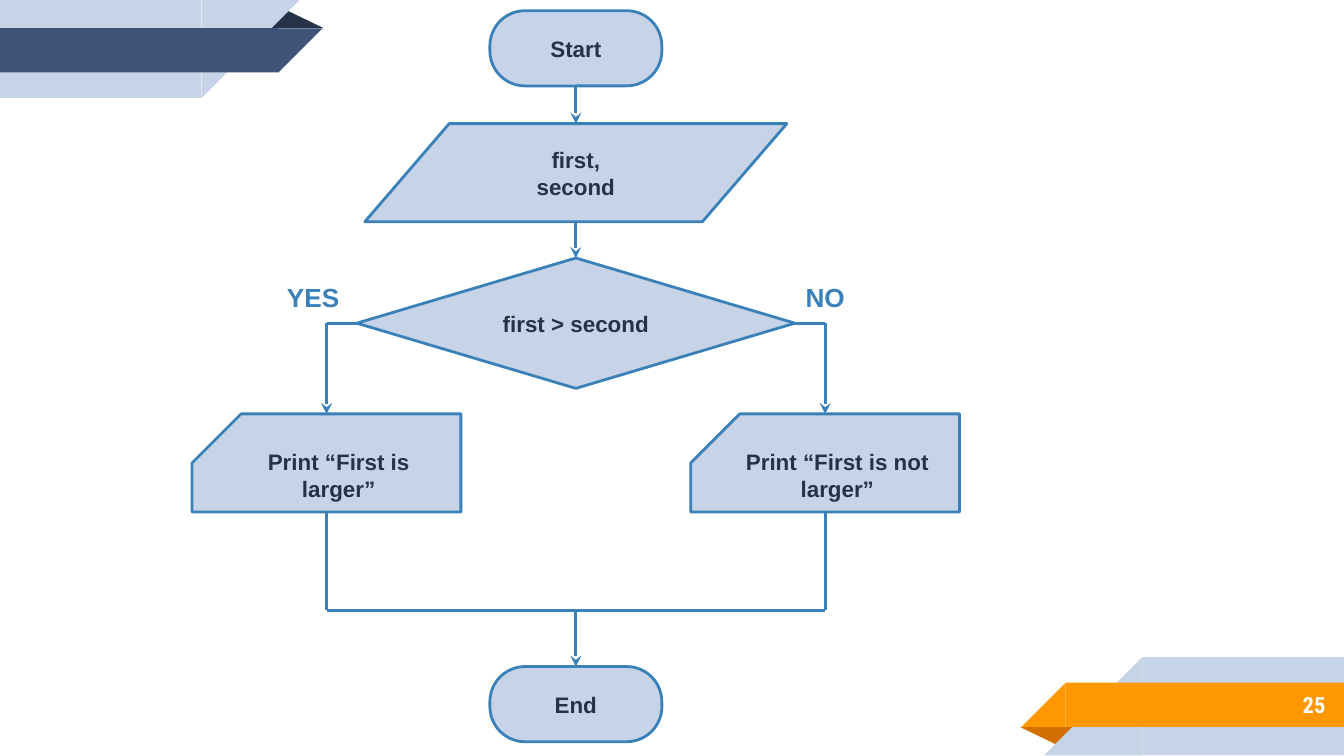
from dataclasses import dataclass
from pptx import Presentation
from pptx.dml.color import RGBColor
from pptx.enum import shapes, text
from pptx.oxml import parse_xml
from pptx.oxml.ns import nsdecls
from pptx.util import Inches, Pt


@dataclass(frozen=True)
class Theme:
    pale: str = "C7D3E6"
    navy: str = "3F5378"
    ink: str = "263248"
    blue: str = "3A81BA"
    orange: str = "FF9800"
    rust: str = "D26F00"
    white: str = "FFFFFF"
    font: str = "Arial"
    number_font: str = "Roboto Condensed"
    body: float = 12
    label: float = 14
    stroke: float = 1.5
    inset: float = 0.1


@dataclass(frozen=True)
class Box:
    left: float
    top: float
    width: float
    height: float

    @property
    def center(self):
        return self.left + self.width / 2

    @property
    def middle(self):
        return self.top + self.height / 2

    @property
    def right(self):
        return self.left + self.width

    @property
    def bottom(self):
        return self.top + self.height

    def lengths(self):
        return [Inches(n) for n in (self.left, self.top, self.width, self.height)]


THEME = Theme()
KIND = shapes.MSO_SHAPE
ALIGN = text.PP_ALIGN
ANCHOR = text.MSO_ANCHOR


def write(shape, words, size=THEME.body, color=THEME.ink, font=THEME.font,
          align=ALIGN.CENTER, anchor=ANCHOR.MIDDLE):
    frame = shape.text_frame
    frame.word_wrap = True
    frame.vertical_anchor = anchor
    frame.margin_left = frame.margin_right = Inches(THEME.inset)
    frame.margin_top = frame.margin_bottom = Inches(THEME.inset)
    frame.text = words
    for para in frame.paragraphs:
        para.alignment = align
        for span in para.runs:
            span.font.name = font
            span.font.size = Pt(size)
            span.font.bold = True
            span.font.color.rgb = RGBColor.from_string(color)


def add_label(page, box, words, **style):
    write(page.shapes.add_textbox(*box.lengths()), words, **style)


def add_filled(page, kind, box, color, corner=None, mirrored=False):
    shape = page.shapes.add_shape(kind, *box.lengths())
    shape.shadow.inherit = False
    shape.fill.solid()
    shape.fill.fore_color.rgb = RGBColor.from_string(color)
    shape.line.fill.background()
    if corner is not None:
        shape.adjustments[0] = corner
    if mirrored:
        shape._element.spPr.xfrm.set("flipH", "1")
    return shape


def add_step(page, kind, box, words, **form):
    step = add_filled(page, kind, box, THEME.pale, **form)
    step.line.color.rgb = RGBColor.from_string(THEME.blue)
    step.line.width = Pt(THEME.stroke)
    write(step, words)


def add_path(page, *points, arrow=True):
    legs = list(zip(points, points[1:]))
    for index, (start, end) in enumerate(legs):
        ends = [Inches(n) for n in (*start, *end)]
        leg = page.shapes.add_connector(shapes.MSO_CONNECTOR.STRAIGHT, *ends)
        leg.line.color.rgb = RGBColor.from_string(THEME.blue)
        leg.line.width = Pt(THEME.stroke)
        if arrow and index == len(legs) - 1:
            leg.line._get_or_add_ln().append(
                parse_xml(f'<a:tailEnd {nsdecls("a")} type="stealth"/>'))
        leg._element.spPr.append(parse_xml(f'<a:effectLst {nsdecls("a")}/>'))


def add_ribbon(page, box, band_color, fold_color, turned=False):
    def place(left, top, width, height):
        if turned:
            return Box(box.right - left - width, box.bottom - top - height, width, height)
        return Box(box.left + left, box.top + top, width, height)

    fold = add_filled(page, KIND.ISOSCELES_TRIANGLE, place(1.98, 0.07, 0.43, 0.14),
                      fold_color, corner=0.324)
    fold.rotation = 180 if turned else 0
    for color, top, length, height in ((THEME.pale, 0, 1.5, 0.73),
                                       (band_color, 0.21, 2.07, 0.33)):
        add_filled(page, KIND.RECTANGLE, place(0, top, length, height), color)
        tip = add_filled(page, KIND.RIGHT_TRIANGLE, place(length, top, height, height),
                         color, mirrored=True)
        tip.rotation = 0 if turned else 180


def add_flowchart(page, box):
    def centered(x, top, width, height):
        return Box(x - width / 2, box.top + top, width, height)

    axis = box.center
    start = centered(axis, 0, 1.28, 0.56)
    entry = centered(axis, 0.84, 3.14, 0.73)
    choice = centered(axis, 1.84, 3.26, 0.97)
    end = centered(axis, box.height - 0.56, 1.28, 0.56)
    merge = box.top + 4.46

    for terminal, words in ((start, "Start"), (end, "End")):
        add_step(page, KIND.ROUNDED_RECTANGLE, terminal, words, corner=0.467)
    add_step(page, KIND.FLOWCHART_DATA, entry, "first,\nsecond")
    add_step(page, KIND.FLOWCHART_DECISION, choice, "first > second")
    for upper, lower in ((start, entry), (entry, choice)):
        add_path(page, (axis, upper.bottom), (axis, lower.top))

    branches = [
        (box.left + 1, choice.left, -0.1, "YES", "Print “First is larger”"),
        (box.right - 1, choice.right, 0, "NO", "Print “First is not larger”"),
    ]
    for x, tip, shift, answer, words in branches:
        result = centered(x, 3, 2, 0.73)
        add_step(page, KIND.SNIP_1_RECTANGLE, result, words, corner=0.5, mirrored=True)
        add_path(page, (tip, choice.middle), (x, choice.middle), (x, result.top))
        add_path(page, (x, result.bottom), (x, merge), arrow=False)
        add_label(page, centered(x + shift, 1.91, 0.77, 0.41), answer,
                  size=THEME.label, color=THEME.blue, anchor=ANCHOR.TOP)
    add_path(page, (box.left + 1, merge), (box.right - 1, merge), arrow=False)
    add_path(page, (axis, merge), (axis, end.top))


def build():
    deck = Presentation()
    deck.slide_width = Inches(10)
    deck.slide_height = deck.slide_width * 9 // 16
    page = deck.slides.add_slide(deck.slide_layouts[6])
    add_ribbon(page, Box(7.6, 4.89, 2.4, 0.73), THEME.orange, THEME.rust, turned=True)
    add_ribbon(page, Box(0, 0, 2.4, 0.73), THEME.navy, THEME.ink)
    add_label(page, Box(8.33, 5.07, 1.63, 0.35), "25", color=THEME.white,
              font=THEME.number_font, align=ALIGN.RIGHT)
    add_flowchart(page, Box(1.43, 0.08, 5.71, 5.44))
    deck.save("out.pptx")


build()
